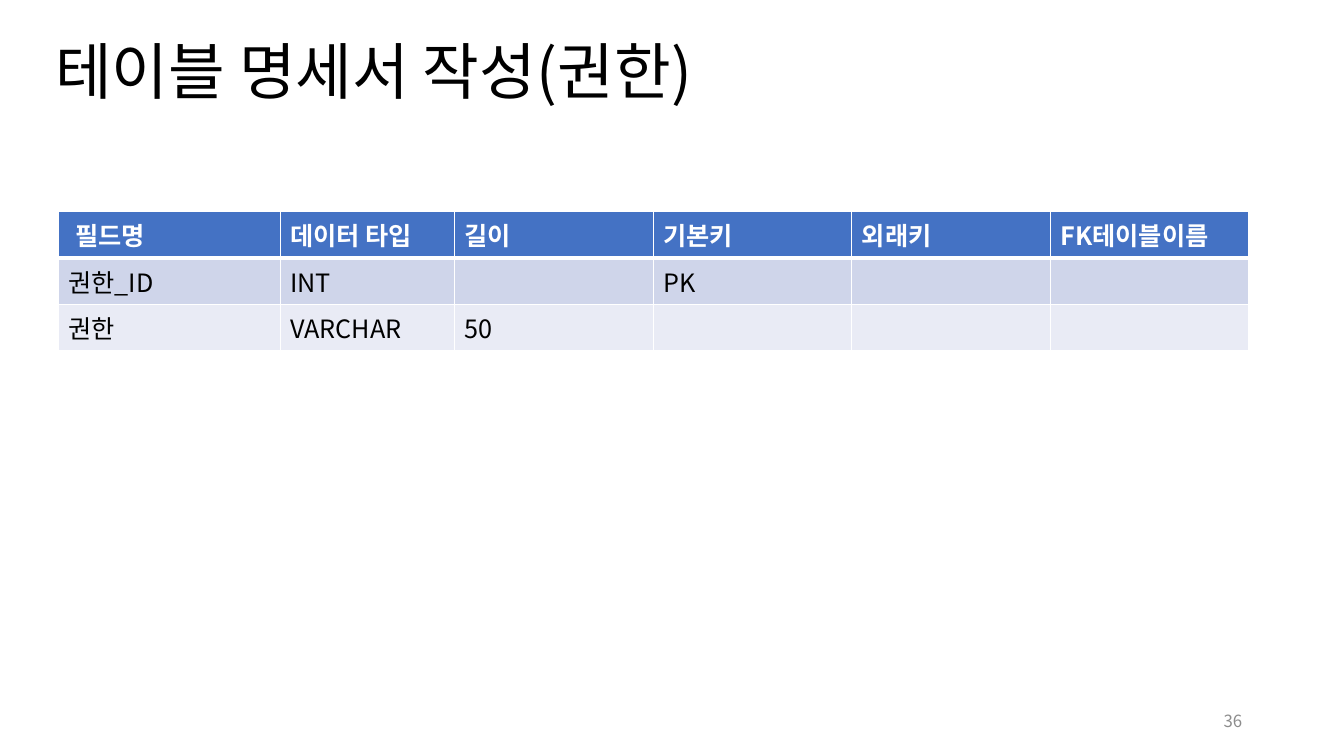
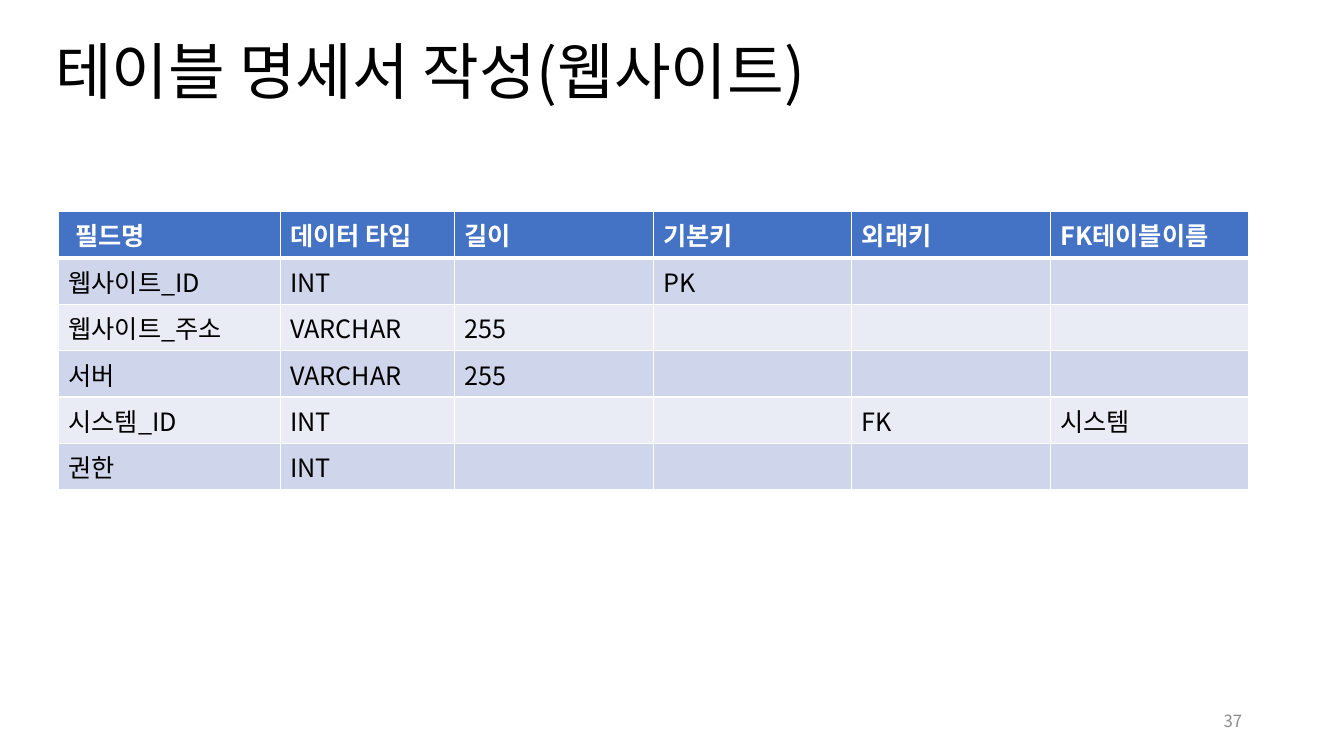
from lxml import etree
from pptx import Presentation, util as u
from pptx.dml.color import RGBColor
from pptx.enum import text
from pptx.oxml import ns

FONT = "Noto Sans CJK SC"
HUES = {"ink": "000000", "white": "FFFFFF", "head": "4472C4",
        "dark": "CFD5EA", "light": "E9EBF5", "gray": "8C8C8C"}

# Table grid, in inches
COLS = [2.2, 1.73] + [1.97] * 4
ROW = 0.46
HEAD = ["필드명", "데이터 타입", "길이", "기본키", "외래키", "FK테이블이름"]

# Title, page number, table rows
PAGES = [
    ("테이블 명세서 작성(권한)", 36, [
        ["권한_ID", "INT", "", "PK", "", ""],
        ["권한", "VARCHAR", "50", "", "", ""],
    ]),
    ("테이블 명세서 작성(웹사이트)", 37, [
        ["웹사이트_ID", "INT", "", "PK", "", ""],
        ["웹사이트_주소", "VARCHAR", "255", "", "", ""],
        ["서버", "VARCHAR", "255", "", "", ""],
        ["시스템_ID", "INT", "", "", "FK", "시스템"],
        ["권한", "INT", "", "", "", ""],
    ]),
]


def color(name):
    return RGBColor.from_string(HUES[name])


def write(frame, words, size=18, hue="ink", bold=False, align=None, space=None):
    """Put one formatted paragraph into a text frame."""
    para = frame.paragraphs[0]
    para.alignment = align
    para.line_spacing = space
    run = para.add_run()
    run.text = words
    font = run.font
    font.name, font.size, font.bold = FONT, u.Pt(size), bold
    font.color.rgb = color(hue)
    east = etree.SubElement(run._r.get_or_add_rPr(), ns.qn("a:ea"))
    east.set("typeface", FONT)


def label(slide, box, words, anchor=text.MSO_ANCHOR.TOP, **style):
    """Add a wrapping text box."""
    frame = slide.shapes.add_textbox(*map(u.Inches, box)).text_frame
    frame.word_wrap = True
    frame.vertical_anchor = anchor
    write(frame, words, **style)


def border(cell, **edges):
    """Draw white cell edges, widths in points by side letter."""
    props = cell._tc.get_or_add_tcPr()
    for side, width in edges.items():
        line = etree.SubElement(props, ns.qn("a:ln" + side), w=str(u.Pt(width)))
        fill = etree.SubElement(line, ns.qn("a:solidFill"))
        etree.SubElement(fill, ns.qn("a:srgbClr"), val=HUES["white"])


def grid(slide, rows):
    """Add the field table with its header row and bands."""
    rows = [HEAD] + rows
    frame = slide.shapes.add_table(
        len(rows), len(COLS), u.Inches(0.58), u.Inches(2.1),
        u.Inches(sum(COLS)), u.Inches(ROW * len(rows)))
    table = frame.table
    for col, width in zip(table.columns, COLS):
        col.width = u.Inches(width)
    for r, row in enumerate(rows):
        table.rows[r].height = u.Inches(ROW)
        top = r == 0
        band = "head" if top else "dark" if r % 2 else "light"
        for c, words in enumerate(row):
            cell = table.cell(r, c)
            border(cell, L=1, R=1, T=3 if r == 1 else 1, B=3 if top else 1)
            cell.fill.solid()
            cell.fill.fore_color.rgb = color(band)
            if words:
                write(cell.text_frame, words, bold=top,
                      hue="white" if top else "ink")
    # The first heading is set in slightly
    table.cell(0, 0).margin_left = u.Inches(0.17)


def main():
    deck = Presentation()
    deck.slide_width, deck.slide_height = u.Inches(13.33), u.Inches(7.5)
    for title, page, rows in PAGES:
        slide = deck.slides.add_slide(deck.slide_layouts[6])
        label(slide, (0.45, 0.36, 11.5, 1.45), title, size=44, space=0.9)
        grid(slide, rows)
        label(slide, (9.42, 6.95, 3, 0.4), str(page), size=12, hue="gray",
              anchor=text.MSO_ANCHOR.MIDDLE, align=text.PP_ALIGN.RIGHT)
    deck.save("out.pptx")


if __name__ == "__main__":
    main()
